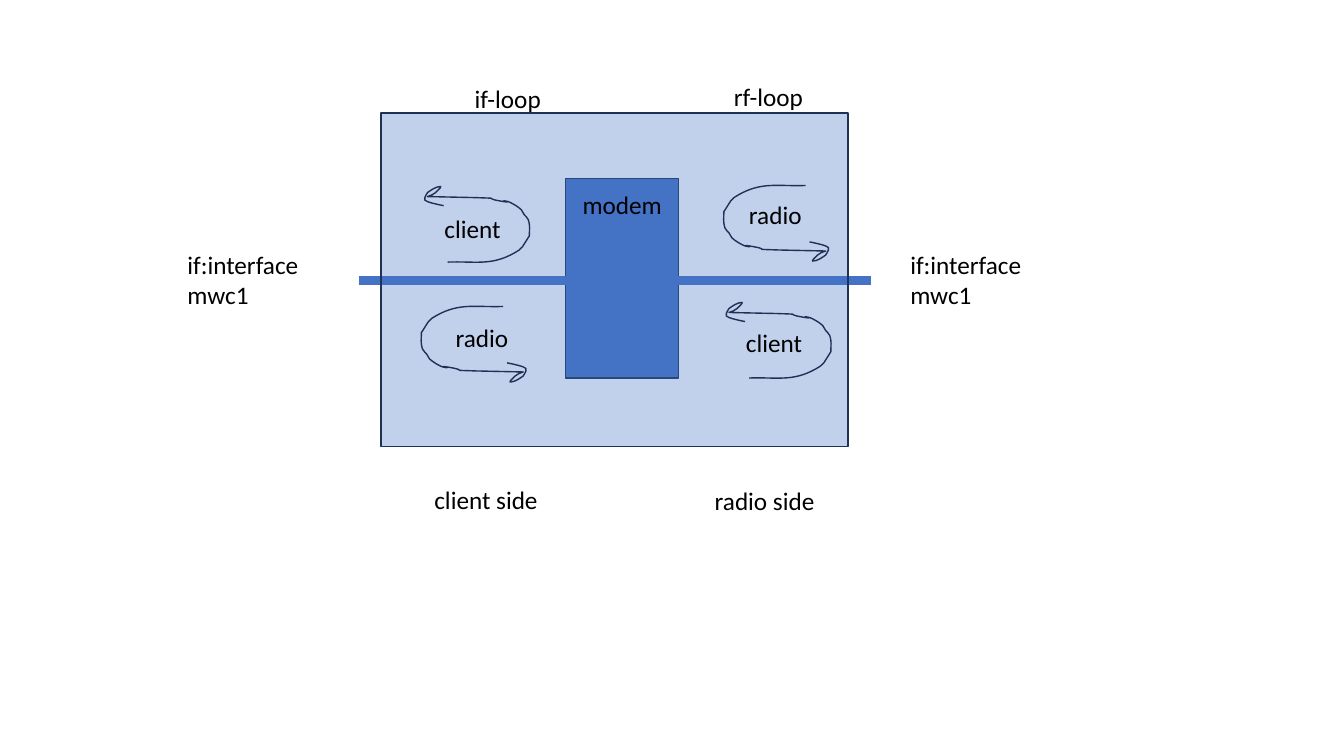
from lxml.etree import SubElement
from pptx import Presentation
from pptx.dml.color import RGBColor
from pptx.enum.shapes import MSO_CONNECTOR, MSO_SHAPE
from pptx.enum.text import MSO_AUTO_SIZE
from pptx.oxml.ns import qn
from pptx.util import Inches, Pt

BLUE = RGBColor(0x44, 0x72, 0xC4)
NAVY = RGBColor(0x1E, 0x32, 0x56)
BLACK = RGBColor(0, 0, 0)
FONT = "Calibri"

MODEM = (5.61, 1.77, 1.12, 1.98)
DEVICE = (3.78, 1.12, 4.63, 3.31)
DEVICE_ALPHA = 33
LINK = (3.56, 2.78, 8.64, 2.78)

LABELS = [
    ("if:interface\nmwc1", 1.76, 2.42, 1.32, 0.71, False),
    ("if:interface\nmwc1", 8.93, 2.42, 1.32, 0.71, False),
    ("modem", 5.68, 1.83, 1, 0.4, False),
    ("if-loop", 4.61, 0.78, 0.87, 0.4, False),
    ("rf-loop", 7.18, 0.76, 0.9, 0.4, False),
    ("radio side", 6.99, 4.77, 1.2, 0.4, False),
    ("client", 4.31, 2.07, 0.77, 0.4, False),
    ("radio", 4.42, 3.15, 0.73, 0.4, False),
    ("radio", 7.33, 1.93, 0.73, 0.4, False),
    ("client", 7.3, 3.2, 0.77, 0.4, False),
    ("client side", 4.21, 4.76, 1.4, 0.4, True),
]

LOOPS = [(7.18, 1.84, 0), (4.21, 1.85, 180), (4.18, 3.04, 0), (7.2, 3, 180)]
LOOP_SIZE = (1.04, 0.75)
LOOP_START = (0.81, 0)
LOOP_SEGMENTS = [
    ((0.54, 0.01), (0.38, -0.04), (0.15, 0.09)),
    ((0.12, 0.11), (0.09, 0.12), (0.07, 0.15)),
    ((0.05, 0.18), (0.02, 0.23), (0, 0.26)),
    ((0, 0.33), (-0.01, 0.35), (0.01, 0.42)),
    ((0.02, 0.44), (0.04, 0.46), (0.05, 0.47)),
    ((0.06, 0.49), (0.07, 0.5), (0.08, 0.52)),
    ((0.11, 0.55), (0.18, 0.59), (0.21, 0.6)),
    ((0.35, 0.63), (0.09, 0.57), (0.31, 0.61)),
    ((0.46, 0.64), (0.26, 0.63), (0.54, 0.64)),
    ((1.01, 0.65),),
    ((0.98, 0.66), (0.95, 0.67), (0.93, 0.69)),
    ((0.91, 0.7), (0.9, 0.71), (0.89, 0.73)),
    ((0.89, 0.73), (0.87, 0.75), (0.88, 0.75)),
    ((0.93, 0.75), (0.98, 0.71), (1.01, 0.69)),
    ((1.02, 0.67), (1.07, 0.61), (1.01, 0.6)),
    ((0.96, 0.58), (0.85, 0.56), (0.85, 0.56)),
]


def style_outline(shape):
    shape.shadow.inherit = False
    shape.line.color.rgb = NAVY
    shape.line.width = Pt(1)


def add_box(slide, bounds, alpha=None):
    box = slide.shapes.add_shape(MSO_SHAPE.RECTANGLE, *map(Inches, bounds))
    box.fill.solid()
    box.fill.fore_color.rgb = BLUE
    style_outline(box)
    if alpha is not None:
        color = box.fill._xPr.find(qn("a:solidFill"))[0]
        SubElement(color, qn("a:alpha"), val=str(alpha * 1000))


def add_link(slide):
    link = slide.shapes.add_connector(MSO_CONNECTOR.STRAIGHT, *map(Inches, LINK))
    link.line.color.rgb = BLUE
    link.line.width = Pt(6.5)
    SubElement(link._element.spPr, qn("a:effectLst"))


def curve_outline(loop):
    outline = next(loop._element.iter(qn("a:pathLst")))[0]
    outline.set("w", str(loop.width))
    outline.set("h", str(loop.height))
    for line, segment in zip(outline.findall(qn("a:lnTo")), LOOP_SEGMENTS):
        if len(segment) == 3:
            curve = SubElement(outline, qn("a:cubicBezTo"))
            for x, y in segment:
                SubElement(curve, qn("a:pt"), x=str(Inches(x)), y=str(Inches(y)))
            outline.replace(line, curve)


def add_loop(slide, left, top, rotation):
    builder = slide.shapes.build_freeform(*map(Inches, LOOP_START))
    ends = [tuple(map(Inches, segment[-1])) for segment in LOOP_SEGMENTS]
    builder.add_line_segments(ends, close=False)
    loop = builder.convert_to_shape(Inches(left), Inches(top))
    loop.width, loop.height = map(Inches, LOOP_SIZE)
    curve_outline(loop)
    loop.rotation = rotation
    loop.fill.background()
    style_outline(loop)


def add_label(slide, text, left, top, width, height, wrap):
    label = slide.shapes.add_textbox(*map(Inches, (left, top, width, height)))
    frame = label.text_frame
    frame.text = text
    frame.word_wrap = wrap
    frame.auto_size = MSO_AUTO_SIZE.SHAPE_TO_FIT_TEXT
    for paragraph in frame.paragraphs:
        for run in paragraph.runs:
            run.font.name = FONT
            run.font.size = Pt(18)
            run.font.color.rgb = BLACK


def main():
    """Build the modem loopback diagram slide."""
    presentation = Presentation()
    presentation.slide_width = Inches(13.33)
    presentation.slide_height = Inches(7.5)
    slide = presentation.slides.add_slide(presentation.slide_layouts[6])
    add_box(slide, MODEM)
    add_link(slide)
    add_box(slide, DEVICE, DEVICE_ALPHA)
    for loop in LOOPS:
        add_loop(slide, *loop)
    for label in LABELS:
        add_label(slide, *label)
    presentation.save("out.pptx")


if __name__ == "__main__":
    main()
